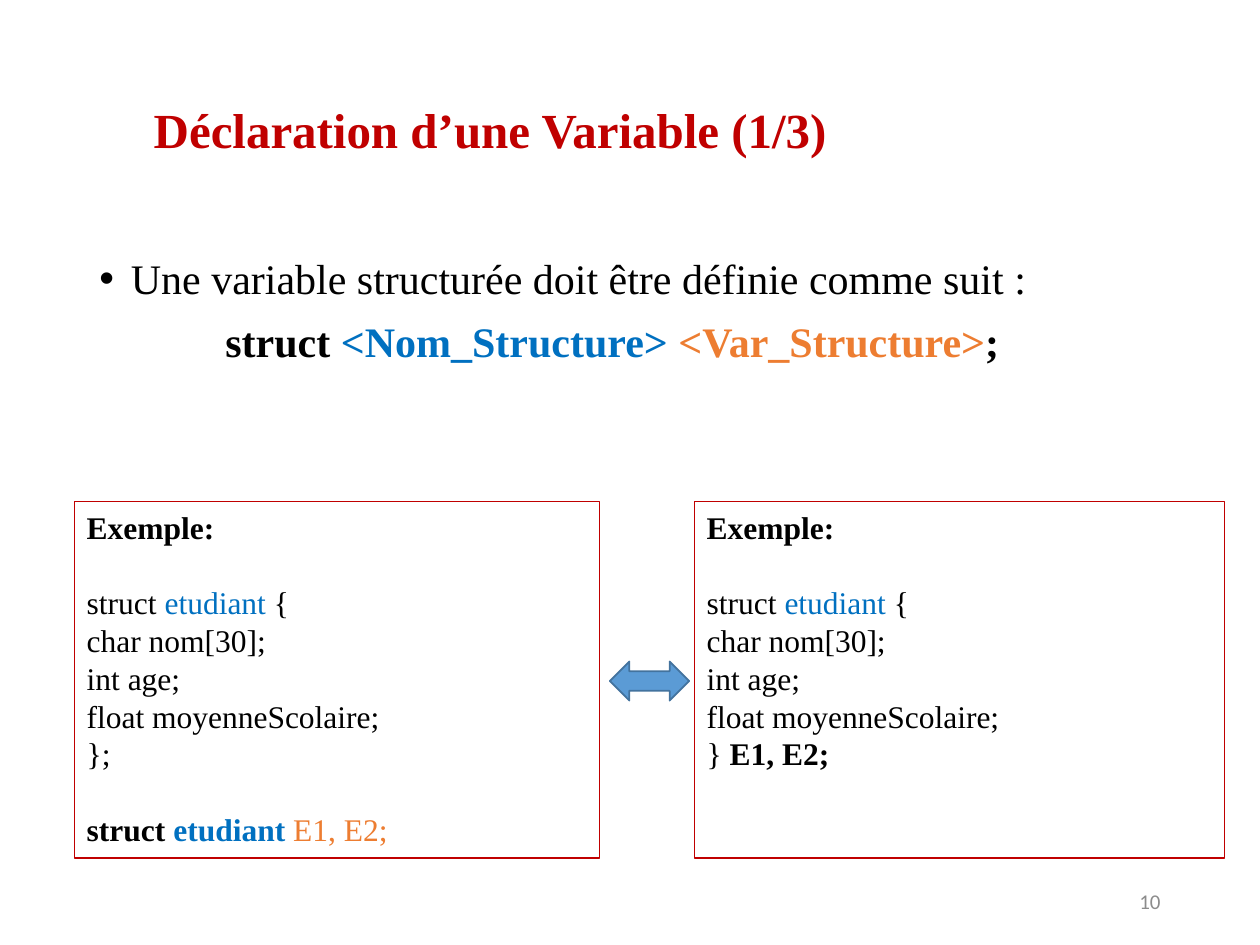
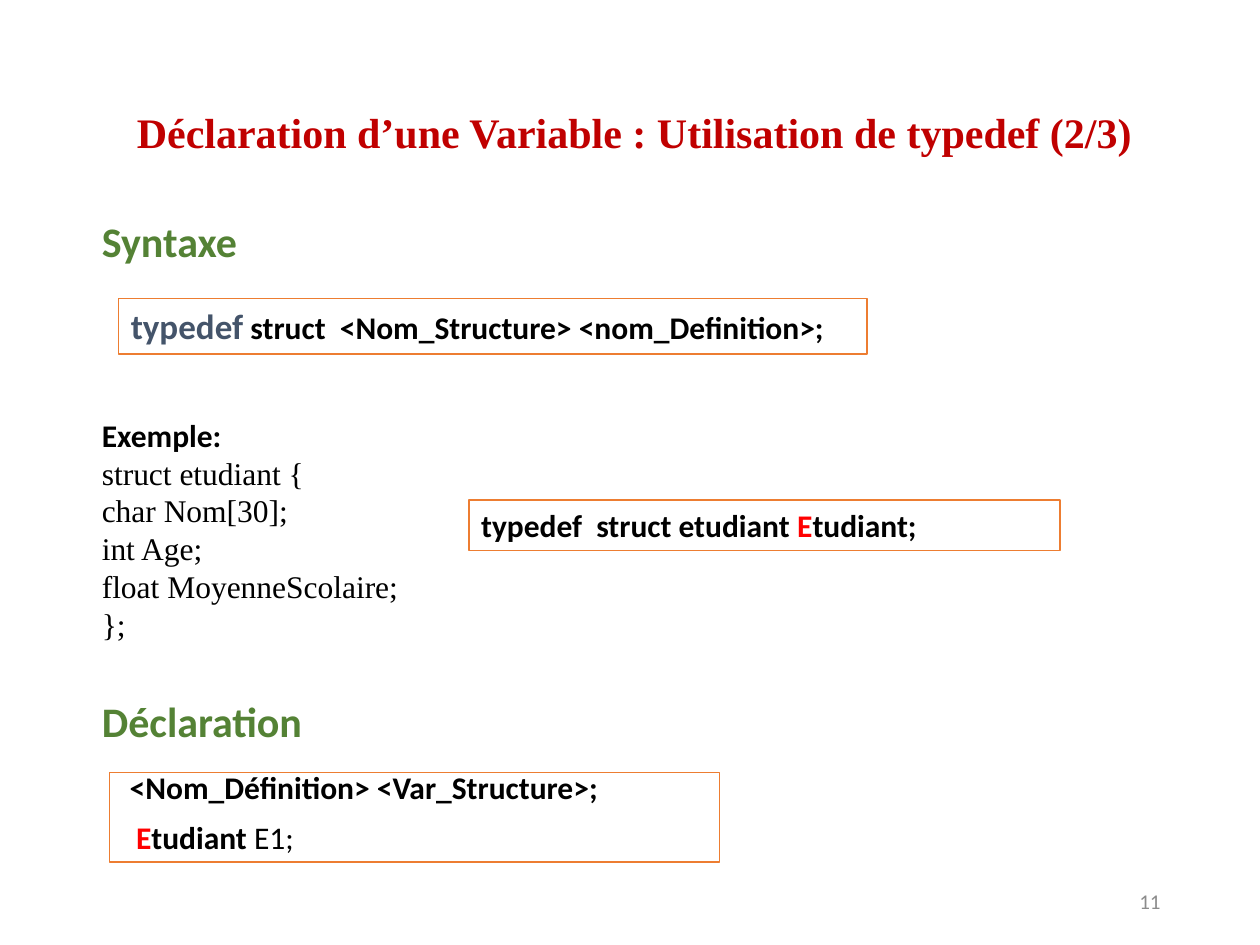
import pptx
import pptx.util
import pptx.dml.color
import pptx.enum.shapes
import pptx.enum.text
from lxml import etree

SERIF, SANS = "Times New Roman", "Calibri"
BLACK, CRIMSON, BLUE, ORANGE = "000000", "C00000", "0070C0", "ED7D31"
GREEN, SLATE, RED, GREY, WHITE = "548235", "44546A", "FF0000", "8C8C8C", "FFFFFF"
INSET = 0.1
CODE_LEADING = 21.6
ALIGN = pptx.enum.text.PP_ALIGN
ANCHOR = pptx.enum.text.MSO_ANCHOR
SHAPES = pptx.enum.shapes.MSO_SHAPE


def run(text, colour=BLACK, bold=False, size=18, font=SERIF):
    return text, colour, bold, size, font


def sans(text, colour=BLACK, bold=True, size=18):
    return run(text, colour, bold, size, SANS)


STRUCT_FIELDS = [[run("char nom[30];")], [run("int age;")], [run("float moyenneScolaire;")]]
STRUCT_OPENING = [
    [run("Exemple:", bold=True)],
    [run("struct "), run("etudiant ", BLUE), run("{")],
    *STRUCT_FIELDS,
]
SEPARATE_DECLARATION = STRUCT_OPENING + [
    [run("};")],
    [run("struct ", bold=True), run("etudiant ", BLUE, True), run("E1, E2;", ORANGE)],
]
INLINE_DECLARATION = STRUCT_OPENING + [[run("} "), run("E1, E2;", bold=True)]]

RULE = [
    [run("Une variable structurée doit être définie comme suit :", size=24)],
    [run("struct ", BLACK, True, 24), run("<Nom_Structure> ", BLUE, True, 24),
     run("<Var_Structure>", ORANGE, True, 24), run(";", BLACK, True, 24)],
]

TYPEDEF_EXAMPLE = [[sans("Exemple:")]] + [
    [run(line)] for line in
    ("struct etudiant {", "char Nom[30];", "int Age;", "float MoyenneScolaire;", "};")
]
HEADINGS = [("Syntaxe", 1.66), ("Déclaration", 5.47)]
TYPEDEF_SYNTAX = [[sans("typedef", SLATE, size=20),
                   sans(" struct  <Nom_Structure> <nom_Definition>;")]]
TYPEDEF_USE = [[sans("typedef  struct etudiant "), sans("E", RED), sans("tudiant;")]]
VARIABLE_SYNTAX = [[sans("<Nom_Définition> <Var_Structure>;")]]
VARIABLE_USE = [[sans("E", RED), sans("tudiant"), sans(" E1;", bold=False)]]


def colour_of(value):
    return pptx.dml.color.RGBColor.from_string(value)


def inches(*values):
    return [pptx.util.Inches(value) for value in values]


def write(shape, lines, align=ALIGN.LEFT, anchor=ANCHOR.TOP, indent=0, leading=None, gaps=None):
    frame = shape.text_frame
    frame.word_wrap = True
    frame.auto_size = pptx.enum.text.MSO_AUTO_SIZE.NONE
    frame.vertical_anchor = anchor
    frame.margin_left, frame.margin_right = inches(INSET + indent, INSET)
    frame.margin_top = frame.margin_bottom = pptx.util.Inches(INSET / 2)
    for index, line in enumerate(lines):
        para = frame.paragraphs[0] if index == 0 else frame.add_paragraph()
        para.alignment = align
        if leading:
            para.line_spacing = leading
        if gaps and index in gaps:
            para.space_before = pptx.util.Pt(gaps[index])
        for text, colour, bold, size, font in line:
            span = para.add_run()
            span.text = text
            span.font.name = font
            span.font.size = pptx.util.Pt(size)
            span.font.bold = bold
            span.font.color.rgb = colour_of(colour)
    return frame


def add_text(page, place, lines, **layout):
    box = page.shapes.add_textbox(*inches(*place))
    return write(box, lines, **layout)


def add_shape(page, kind, place, fill, line, width):
    shape = page.shapes.add_shape(kind, *inches(*place))
    shape.shadow.inherit = False
    if fill:
        shape.fill.solid()
        shape.fill.fore_color.rgb = colour_of(fill)
    else:
        shape.fill.background()
    shape.line.color.rgb = colour_of(line)
    shape.line.width = pptx.util.Pt(width)
    return shape


def add_code_frame(page, place, lines, fill=WHITE, line=ORANGE, width=1, **layout):
    write(add_shape(page, SHAPES.RECTANGLE, place, fill, line, width), lines, **layout)


def add_page(deck, number, title, place, size, indent):
    page = deck.slides.add_slide(deck.slide_layouts[5])
    heading = page.shapes.title
    heading.left, heading.top, heading.width, heading.height = inches(*place)
    write(heading, [[run(title, CRIMSON, True, size)]], align=ALIGN.CENTER,
          anchor=ANCHOR.MIDDLE, indent=indent)
    add_text(page, (7.06, 6.95, 2.25, 0.4), [[sans(str(number), GREY, False, 12)]],
             align=ALIGN.RIGHT, anchor=ANCHOR.MIDDLE)
    return page


def add_bullet(para, hanging):
    properties = para._p.get_or_add_pPr()
    properties.set("marL", str(pptx.util.Inches(hanging)))
    properties.set("indent", str(-pptx.util.Inches(hanging)))
    namespace = "{http://schemas.openxmlformats.org/drawingml/2006/main}"
    etree.SubElement(properties, namespace + "buFont", typeface="Arial")
    etree.SubElement(properties, namespace + "buChar", char="•")


def build_variable_page(deck):
    page = add_page(deck, 10, "Déclaration d’une Variable (1/3)", (0.23, 0.74, 6.83, 0.57), 28, 0.49)
    frame = add_text(page, (0.69, 2, 8.62, 1.28), RULE, align=ALIGN.JUSTIFY,
                     leading=0.9, gaps={1: 10})
    add_bullet(frame.paragraphs[0], 0.25)
    frame.paragraphs[1]._p.get_or_add_pPr().set("marL", str(pptx.util.Inches(1)))
    examples = [(0.59, 4.17, SEPARATE_DECLARATION), (5.51, 4.21, INLINE_DECLARATION)]
    for left, width, lines in examples:
        add_code_frame(page, (left, 3.98, width, 2.83), lines, fill=None, line=CRIMSON, width=0.75,
                       leading=pptx.util.Pt(CODE_LEADING), gaps={1: CODE_LEADING, 6: CODE_LEADING})
    add_shape(page, SHAPES.LEFT_RIGHT_ARROW, (4.84, 5.25, 0.63, 0.31), "5B9BD5", "43739E", 1)


def build_typedef_page(deck):
    page = add_page(deck, 11, "Déclaration d’une Variable : Utilisation de typedef (2/3)",
                    (0.71, 0.7, 8.57, 0.69), 24, 0.08)
    for text, top in HEADINGS:
        add_text(page, (0.71, top, 2.11, 0.5), [[sans(text, GREEN, size=24)]])
    add_text(page, (0.71, 3.25, 5, 2.22), TYPEDEF_EXAMPLE, leading=pptx.util.Pt(CODE_LEADING))
    add_code_frame(page, (0.94, 2.37, 5.94, 0.44), TYPEDEF_SYNTAX)
    add_code_frame(page, (3.72, 3.97, 4.69, 0.4), TYPEDEF_USE)
    add_code_frame(page, (0.87, 6.13, 4.84, 0.71), VARIABLE_USE, anchor=ANCHOR.BOTTOM, indent=0.11)
    add_text(page, (0.87, 6.05, 5.23, 0.4), VARIABLE_SYNTAX, indent=0.06)


def main():
    deck = pptx.Presentation()
    deck.slide_width, deck.slide_height = inches(10, 7.5)
    build_variable_page(deck)
    build_typedef_page(deck)
    deck.save("out.pptx")


if __name__ == "__main__":
    main()
